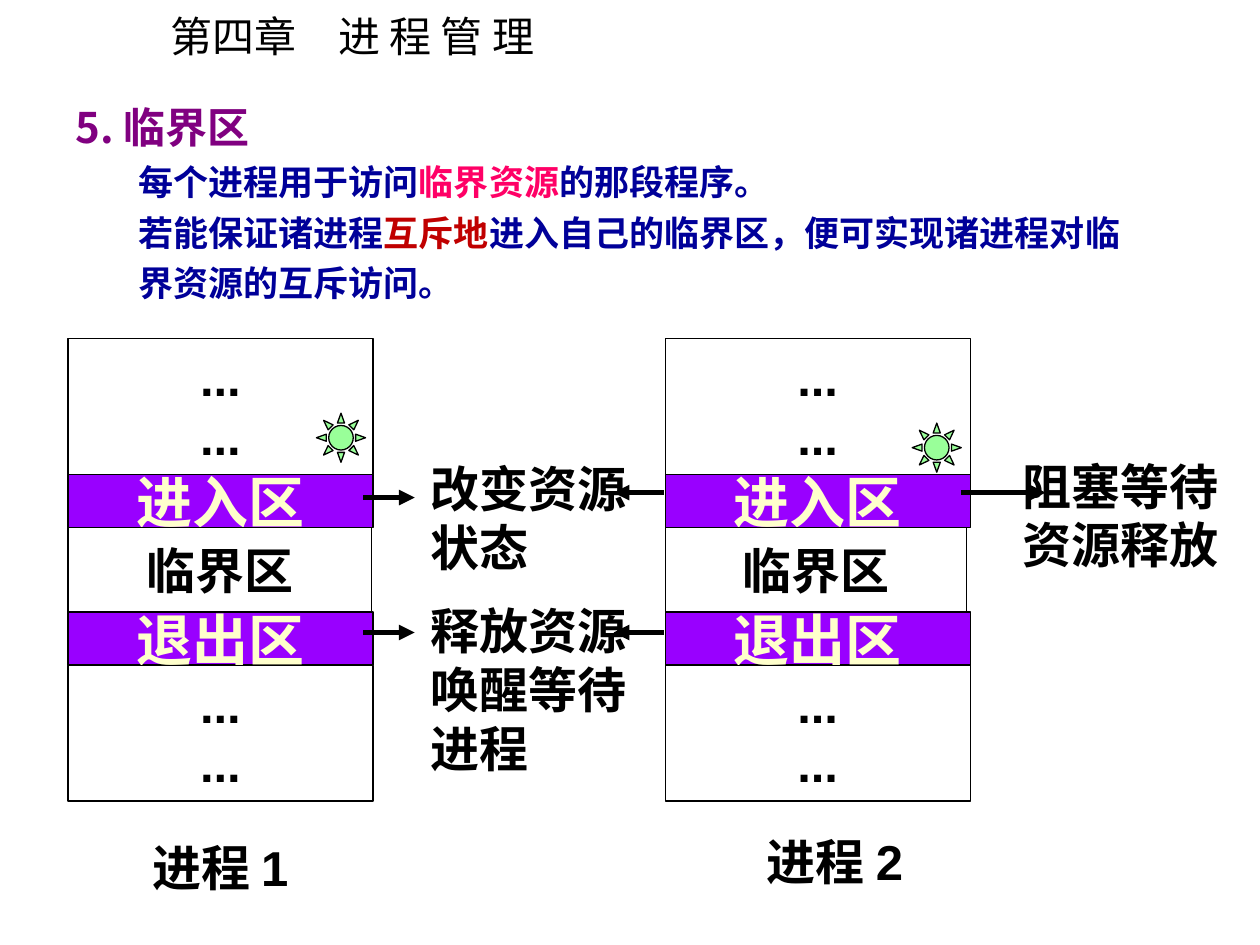
"""Build a slide on critical sections shared by two processes."""
from lxml import etree
from pptx import Presentation
from pptx.dml.color import RGBColor
from pptx.enum.shapes import MSO_CONNECTOR, MSO_SHAPE
from pptx.enum.text import MSO_ANCHOR, PP_ALIGN
from pptx.oxml.ns import qn
from pptx.util import Cm, Pt

RECTANGLE, SUN = MSO_SHAPE.RECTANGLE, MSO_SHAPE.SUN
STRAIGHT = MSO_CONNECTOR.STRAIGHT
MIDDLE, TOP = MSO_ANCHOR.MIDDLE, MSO_ANCHOR.TOP
CENTER, LEFT = PP_ALIGN.CENTER, PP_ALIGN.LEFT

SANS, JAPANESE, ARIAL = "Noto Sans CJK SC", "Noto Sans CJK JP", "Arial"
BLACK, BLUE, GREEN = "000000", "000099", "99FF99"

TITLE = {"size": 24, "bold": False, "name": SANS, "color": BLACK}
HEADING = {"size": 24, "bold": True, "name": SANS, "color": "800080"}
BODY = {"size": 20, "bold": True, "name": SANS, "color": BLUE}
PINK = {**BODY, "color": "FF0066"}
RED = {**BODY, "color": "C00000"}
LABEL = {"size": 28, "bold": True, "name": ARIAL, "color": BLACK}
CAPTION = {**LABEL, "name": JAPANESE}
BAND = {"size": 32, "bold": True, "name": ARIAL, "color": "FFFFCC"}

CHAPTER = [[("第四章　进 程 管 理", TITLE)]]
DEFINITION = [
    [("5. 临界区", HEADING)],
    [("每个进程用于访问", BODY), ("临界资源", PINK), ("的那段程序。", BODY)],
    [("若能保证诸进程", BODY), ("互斥地", RED),
     ("进入自己的临界区，便可实现诸进程对临界资源的互斥访问。", BODY)],
]
DEFINITION_LAYOUT = [(1.27, 1), (2.54, 1.2), (2.54, 1.2)]

PURPLE, WHITE = "9900FF", "FFFFFF"
SECTIONS = [
    (["...", "..."], 2.74, None, LABEL),
    (["进入区"], 1.07, PURPLE, BAND),
    (["临界区"], 1.7, WHITE, LABEL),
    (["退出区"], 1.07, PURPLE, BAND),
    (["...", "..."], 2.74, None, LABEL),
]
STACK_TOP, STACK_WIDTH = 6.83, 6.15
PROCESSES = [
    {"left": 1.37, "critical": 6.12, "number": "1",
     "caption": (2.82, 16.76), "sun": (6.38, 8.33)},
    {"left": 13.41, "critical": 6.07, "number": "2",
     "caption": (15.21, 16.64), "sun": (18.39, 8.53)},
]
SUN_SIZE = 0.99
NOTES = [
    (["阻塞等待", "资源释放"], (20.37, 9.07, 4.52, 2.64)),
    (["改变资源", "状态"], (8.43, 9.12, 4.67, 2.64)),
    (["释放资源", "唤醒等待进程"], (8.43, 11.99, 4.95, 3.81)),
]
ARROWS = [
    (19.38, 21.08, 9.93), (7.32, 8.36, 10.03), (7.32, 8.36, 12.75),
    (13.39, 12.37, 9.93), (13.39, 12.37, 12.75),
]


def color(value):
    return RGBColor.from_string(value)


def write(box, paragraphs, wrap=True, align=LEFT, anchor=TOP):
    frame = box.text_frame
    frame.word_wrap = wrap
    frame.vertical_anchor = anchor
    for index, spans in enumerate(paragraphs):
        para = frame.add_paragraph() if index else frame.paragraphs[0]
        para.alignment = align
        for text, style in spans:
            span = para.add_run()
            span.text = text
            for key, value in style.items():
                if key == "color":
                    span.font.color.rgb = color(value)
                else:
                    setattr(span.font, key, Pt(value) if key == "size" else value)
            east_asian = etree.SubElement(span.font._element, qn("a:ea"))
            east_asian.set("typeface", SANS if style["name"] == ARIAL else style["name"])


def add_text(page, place, paragraphs, wrap=True):
    box = page.shapes.add_textbox(*map(Cm, place))
    write(box, paragraphs, wrap)
    return box


def add_outlined(page, kind, place, fill):
    shape = page.shapes.add_shape(kind, *map(Cm, place))
    shape.shadow.inherit = False
    if fill:
        shape.fill.solid()
        shape.fill.fore_color.rgb = color(fill)
    else:
        shape.fill.background()
    shape.line.color.rgb = color(BLACK)
    shape.line.width = Pt(0.75)
    return shape


def add_process(page, process):
    top = STACK_TOP
    for lines, height, fill, style in SECTIONS:
        width = process["critical"] if fill == WHITE else STACK_WIDTH
        box = add_outlined(page, RECTANGLE, (process["left"], top, width, height), fill)
        write(box, [[(line, style)] for line in lines], False, CENTER, MIDDLE)
        top += height
    add_text(page, (*process["caption"], 3.76, 1.45),
             [[("进程 ", CAPTION), (process["number"], LABEL)]], False)


def add_arrow(page, start, end, height):
    arrow = page.shapes.add_connector(STRAIGHT, Cm(start), Cm(height), Cm(end), Cm(height))
    arrow.line.color.rgb = color(BLACK)
    arrow.line.width = Pt(3)
    etree.SubElement(arrow.line._get_or_add_ln(), qn("a:tailEnd")).set("type", "triangle")
    etree.SubElement(arrow._element.spPr, qn("a:effectLst"))


def main():
    deck = Presentation()
    deck.slide_width, deck.slide_height = Cm(25.4), Cm(19.05)
    page = deck.slides.add_slide(deck.slide_layouts[6])
    add_text(page, (3.18, 0.08, 8.03, 1.27), CHAPTER, False)
    box = add_text(page, (0, 1.93, 23.22, 4.32), DEFINITION)
    for para, (indent, spacing) in zip(box.text_frame.paragraphs, DEFINITION_LAYOUT):
        para.line_spacing = spacing
        properties = para._p.get_or_add_pPr()
        properties.set("marL", str(Cm(indent)))
        properties.set("indent", "0")
    for process in PROCESSES:
        add_process(page, process)
    for lines, place in NOTES:
        add_text(page, place, [[(line, LABEL)] for line in lines])
    for arrow in ARROWS:
        add_arrow(page, *arrow)
    for process in PROCESSES:
        add_outlined(page, SUN, (*process["sun"], SUN_SIZE, SUN_SIZE), GREEN)
    deck.save("out.pptx")


if __name__ == "__main__":
    main()
